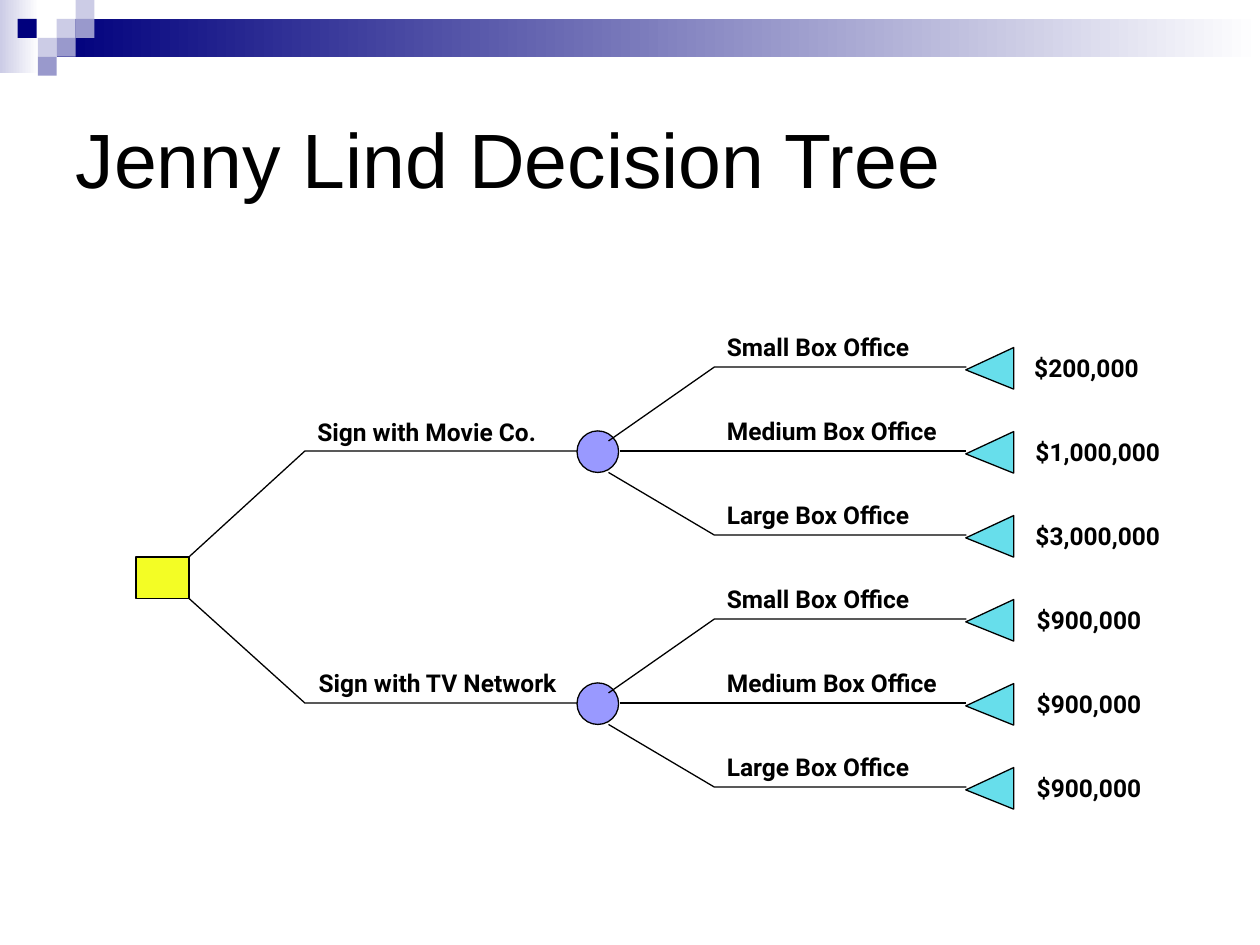
from dataclasses import dataclass

from lxml.etree import SubElement
from pptx import Presentation
from pptx.dml.color import RGBColor as RGB
from pptx.enum.shapes import MSO_CONNECTOR as Connector, MSO_SHAPE as Shape
from pptx.enum.text import MSO_ANCHOR as Anchor, MSO_AUTO_SIZE as AutoSize, PP_ALIGN as Align
from pptx.oxml.ns import qn
from pptx.util import Inches, Pt


@dataclass(frozen=True)
class Theme:
    ink: RGB = RGB(0, 0, 0)
    white: RGB = RGB(255, 255, 255)
    navy: RGB = RGB.from_string("00007D")
    pale: RGB = RGB.from_string("CCCCE6")
    lilac: RGB = RGB.from_string("9999CC")
    decision: RGB = RGB.from_string("F3FD25")
    chance: RGB = RGB.from_string("9999FF")
    outcome: RGB = RGB.from_string("67DEEB")
    title_font: str = "Arial"
    label_font: str = "Roboto"
    title_size: float = 44
    label_size: float = 14
    line_width: float = 0.75


class TreeSlide:
    def __init__(self, slide, theme):
        self.slide = slide
        self.theme = theme

    def style_text(self, frame, font, size, bold):
        paragraph = frame.paragraphs[0]
        paragraph.alignment = Align.LEFT
        style = paragraph.runs[0].font
        style.name, style.size, style.bold = font, Pt(size), bold
        style.color.rgb = self.theme.ink

    def style_line(self, line):
        line.color.rgb = self.theme.ink
        line.width = Pt(self.theme.line_width)

    def title(self, wording, left, top, width, height):
        heading = self.slide.shapes.title
        heading.left, heading.top = Inches(left), Inches(top)
        heading.width, heading.height = Inches(width), Inches(height)
        frame = heading.text_frame
        frame.text = wording
        frame.auto_size = AutoSize.NONE
        frame.vertical_anchor = Anchor.MIDDLE
        self.style_text(frame, self.theme.title_font, self.theme.title_size, False)

    def block(self, kind, left, top, width, height):
        block = self.slide.shapes.add_shape(
            kind, Inches(left), Inches(top), Inches(width), Inches(height))
        block.shadow.inherit = False
        return block

    def tile(self, left, top, width, height, color):
        tile = self.block(Shape.RECTANGLE, left, top, width, height)
        tile.fill.solid()
        tile.fill.fore_color.rgb = color
        tile.line.fill.background()

    def fade(self, left, top, width, height, color):
        band = self.block(Shape.RECTANGLE, left, top, width, height)
        band.fill.gradient()
        band.fill.gradient_angle = 0
        for stop, shade in zip(band.fill.gradient_stops, (color, self.theme.white)):
            stop.color.rgb = shade
        band.line.fill.background()

    def node(self, kind, left, top, width, height, color):
        node = self.block(kind, left, top, width, height)
        node.fill.solid()
        node.fill.fore_color.rgb = color
        self.style_line(node.line)
        return node

    def payoff_marker(self, left, top):
        marker = self.node(Shape.ISOSCELES_TRIANGLE, left, top, 0.33, 0.38, self.theme.outcome)
        marker.adjustments[0] = 0.464
        marker.rotation = 270

    def branch(self, *points):
        start, *rest = [(Inches(x), Inches(y)) for x, y in points]
        builder = self.slide.shapes.build_freeform(*start)
        builder.add_line_segments(rest, close=False)
        branch = builder.convert_to_shape()
        branch.shadow.inherit = False
        branch.fill.background()
        self.style_line(branch.line)

    def straight(self, x1, x2, y):
        straight = self.slide.shapes.add_connector(
            Connector.STRAIGHT, Inches(x1), Inches(y), Inches(x2), Inches(y))
        self.style_line(straight.line)
        SubElement(straight._element.spPr, qn("a:effectLst"))

    def label(self, wording, left, top, width):
        label = self.slide.shapes.add_textbox(
            Inches(left), Inches(top), Inches(width), Inches(0.34))
        frame = label.text_frame
        frame.text = wording
        frame.word_wrap = False
        frame.auto_size = AutoSize.SHAPE_TO_FIT_TEXT
        self.style_text(frame, self.theme.label_font, self.theme.label_size, True)


def draw_header(tree):
    theme = tree.theme
    tree.fade(0, 0, 0.31, 0.58, theme.pale)
    tree.fade(0.45, 0.15, 9.55, 0.3, theme.navy)
    tiles = [
        (0.45, 0.15, theme.pale), (0.6, 0, theme.pale), (0.6, 0.15, theme.lilac),
        (0.3, 0.3, theme.pale), (0.14, 0.15, theme.navy),
        (0.45, 0.3, theme.lilac), (0.3, 0.45, theme.lilac),
    ]
    for left, top, color in tiles:
        tree.tile(left, top, 0.15, 0.15, color)


def draw_choice(tree, middle, choice, choice_left, choice_top, choice_width, corner, payoffs):
    pitch = 2 / 3
    fork, bend, end = 4.83, 5.67, 7.67
    box_offices = [("Small Box Office", 1.78), ("Medium Box Office", 2.05),
                   ("Large Box Office", 1.8)]

    tree.node(Shape.OVAL, 4.58, middle - 0.16, 0.33, 0.33, tree.theme.chance)
    tree.branch((fork, middle - 0.08), (bend, middle - pitch), (end, middle - pitch))
    tree.branch((fork, middle + 0.17), (bend, middle + pitch), (end, middle + pitch))
    tree.straight(4.92, end, middle)
    tree.branch((1.5, corner), (2.42, middle), (4.58, middle))
    tree.label(choice, choice_left, choice_top, choice_width)

    for row, ((box_office, width), (payoff, left)) in enumerate(zip(box_offices, payoffs)):
        y = middle + (row - 1) * pitch
        tree.payoff_marker(7.69, y - 0.18)
        tree.label(box_office, bend, y - 0.33, width)
        tree.label(payoff, left, y - 0.16, 1.2 if len(payoff) > 8 else 1.03)


def main():
    deck = Presentation()
    deck.slide_width, deck.slide_height = Inches(10), Inches(7.5)
    tree = TreeSlide(deck.slides.add_slide(deck.slide_layouts[5]), Theme())

    draw_header(tree)
    tree.title("Jenny Lind Decision Tree", 0.5, 0.5, 9, 1.5)
    tree.node(Shape.RECTANGLE, 1.08, 4.42, 0.42, 0.33, tree.theme.decision)
    draw_choice(tree, 3.58, "Sign with Movie Co.", 2.42, 3.26, 2.1, 4.42,
                [("$200,000", 8.11), ("$1,000,000", 8.12), ("$3,000,000", 8.12)])
    draw_choice(tree, 5.58, "Sign with TV Network", 2.43, 5.25, 2.3, 4.75,
                [("$900,000", 8.13)] * 3)
    deck.save("out.pptx")


if __name__ == "__main__":
    main()
